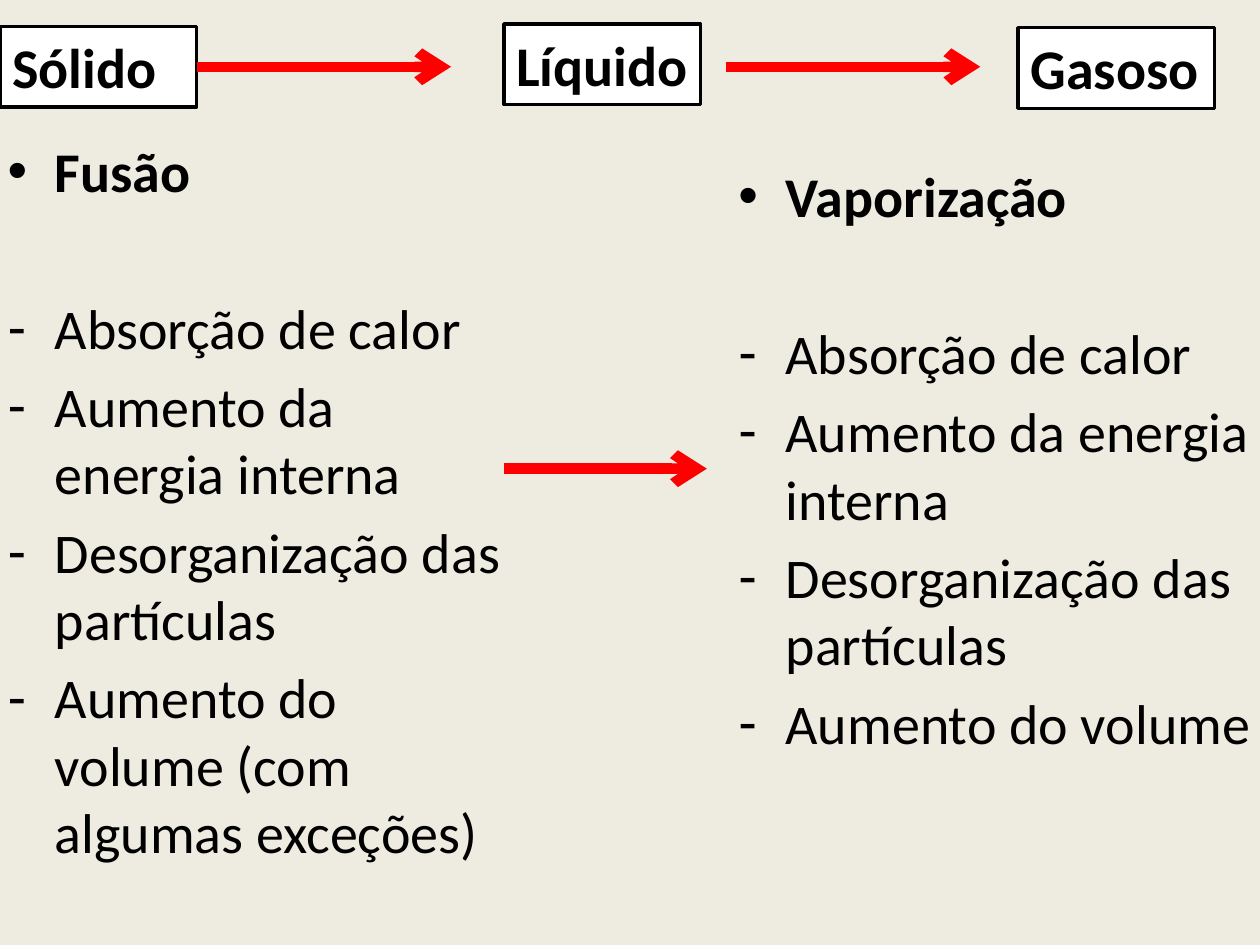
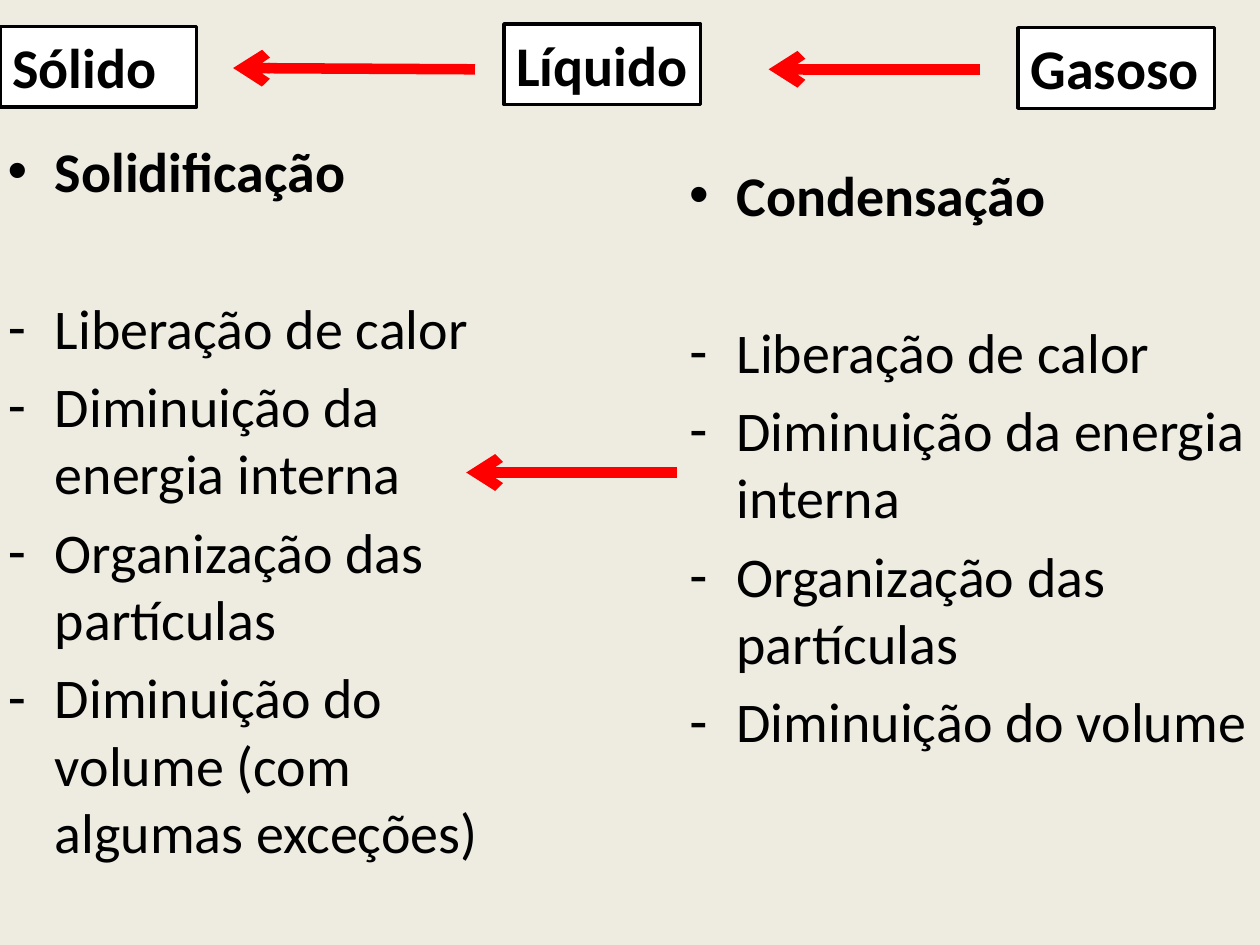
"""Builds two slides on the changes of state between solid, liquid and gas."""
from dataclasses import dataclass
from typing import Optional

from lxml import etree
from pptx import Presentation
from pptx.dml.color import RGBColor
from pptx.enum.shapes import MSO_CONNECTOR, MSO_SHAPE
from pptx.enum.text import MSO_ANCHOR, MSO_AUTO_SIZE, PP_ALIGN
from pptx.oxml.ns import qn
from pptx.util import Pt

RECTANGLE = MSO_SHAPE.RECTANGLE
STRAIGHT = MSO_CONNECTOR.STRAIGHT
LEFT = PP_ALIGN.LEFT
TOP = MSO_ANCHOR.TOP
FIXED, GROW = MSO_AUTO_SIZE.NONE, MSO_AUTO_SIZE.SHAPE_TO_FIT_TEXT
RIGHT_SIDE = 3
TWO_CONTENT_LAYOUT = 3
EMU_PER_PX = 9144


@dataclass(frozen=True)
class Theme:
    background: RGBColor = RGBColor(0xEE, 0xEC, 0xE1)
    box: RGBColor = RGBColor(0xFF, 0xFF, 0xFF)
    ink: RGBColor = RGBColor(0, 0, 0)
    arrow: RGBColor = RGBColor(0xFF, 0, 0)
    font: str = "Calibri"
    size: float = 32
    item_gap: float = 6.4
    heading_gap: float = 45
    box_line: float = 2
    arrow_line: float = 6


@dataclass(frozen=True)
class State:
    name: str
    left: int
    top: int


@dataclass(frozen=True)
class Arrow:
    start: tuple[int, int]
    end: tuple[int, int]
    source: Optional[str] = None


@dataclass(frozen=True)
class Change:
    heading: str
    effects: tuple[str, ...]
    area: tuple[int, int, int, int]


@dataclass(frozen=True)
class Page:
    changes: tuple[Change, Change]
    arrows: tuple[Arrow, ...]


THEME = Theme()
STATE_SIZE = (156, 64)
STATES = (State("Sólido", 0, 21), State("Líquido", 400, 19), State("Gasoso", 808, 22))
LEFT_AREA = (-4, 103, 416, 646)
EXCEPTIONS = " (com algumas exceções)"
HEATING = ("Absorção de calor", "Aumento da energia interna",
           "Desorganização das partículas", "Aumento do volume")
COOLING = ("Liberação de calor", "Diminuição da energia interna",
           "Organização das partículas", "Diminuição do volume")


def with_exceptions(effects: tuple[str, ...]) -> tuple[str, ...]:
    """Return the effects with the exceptions noted on the last one."""
    return (*effects[:-1], effects[-1] + EXCEPTIONS)


PAGES = (
    Page(
        (Change("Fusão", with_exceptions(HEATING), LEFT_AREA),
         Change("Vaporização", HEATING, (576, 123, 464, 614))),
        (Arrow((400, 372), (561, 372)),
         Arrow((156, 53), (358, 53), source="Sólido"),
         Arrow((576, 53), (778, 53))),
    ),
    Page(
        (Change("Solidificação", with_exceptions(COOLING), LEFT_AREA),
         Change("Condensação", COOLING, (537, 122, 464, 614))),
        (Arrow((537, 375), (370, 375)),
         Arrow((377, 55), (185, 54)),
         Arrow((778, 55), (610, 55))),
    ),
)


def px(*lengths: int) -> list[int]:
    """Turn pixel lengths into EMU."""
    return [length * EMU_PER_PX for length in lengths]


def write(paragraph, text: str, *, bold: bool = False, before: float = 0,
          after: float = 0, dash: bool = False) -> None:
    """Write one formatted paragraph."""
    paragraph.alignment = LEFT
    paragraph.space_before, paragraph.space_after = Pt(before), Pt(after)
    run = paragraph.add_run()
    run.text = text
    run.font.name, run.font.size, run.font.bold = THEME.font, Pt(THEME.size), bold
    run.font.color.rgb = THEME.ink
    if dash:
        properties = paragraph._p.get_or_add_pPr()
        etree.SubElement(properties, qn("a:buFontTx"))
        etree.SubElement(properties, qn("a:buChar"), char="-")


def draw_change(placeholder, change: Change) -> None:
    """Fill a body placeholder with a change of state and its effects."""
    (placeholder.left, placeholder.top,
     placeholder.width, placeholder.height) = px(*change.area)
    frame = placeholder.text_frame
    frame.auto_size = FIXED
    write(frame.paragraphs[0], change.heading, bold=True,
          before=THEME.item_gap, after=THEME.heading_gap)
    for effect in change.effects:
        write(frame.add_paragraph(), effect, before=THEME.item_gap, dash=True)


def draw_state(slide, state: State):
    """Draw the framed name of a state and return its box."""
    box = slide.shapes.add_shape(RECTANGLE, *px(state.left, state.top, *STATE_SIZE))
    box.shadow.inherit = False
    box.fill.solid()
    box.fill.fore_color.rgb = THEME.box
    box.line.color.rgb = THEME.ink
    box.line.width = Pt(THEME.box_line)
    frame = box.text_frame
    frame.word_wrap, frame.auto_size, frame.vertical_anchor = True, GROW, TOP
    write(frame.paragraphs[0], state.name, bold=True)
    return box


def draw_arrow(slide, arrow: Arrow, boxes: dict) -> None:
    """Draw an arrow, joined to its source state if it has one."""
    connector = slide.shapes.add_connector(STRAIGHT, *px(*arrow.start, *arrow.end))
    if arrow.source:
        connector.begin_connect(boxes[arrow.source], RIGHT_SIDE)
    connector.line.color.rgb = THEME.arrow
    connector.line.width = Pt(THEME.arrow_line)
    etree.SubElement(connector.line._get_or_add_ln(), qn("a:tailEnd"), type="arrow")
    etree.SubElement(connector._element.spPr, qn("a:effectLst"))


def draw_page(presentation, page: Page) -> None:
    """Add a slide with its lists, states and arrows."""
    slide = presentation.slides.add_slide(presentation.slide_layouts[TWO_CONTENT_LAYOUT])
    title, *bodies = slide.placeholders
    title._element.getparent().remove(title._element)
    for body, change in zip(bodies, page.changes):
        draw_change(body, change)
    boxes = {state.name: draw_state(slide, state) for state in STATES}
    for arrow in page.arrows:
        draw_arrow(slide, arrow, boxes)


def main() -> None:
    """Build and save the presentation."""
    presentation = Presentation()
    presentation.slide_width, presentation.slide_height = px(1000, 750)
    backdrop = presentation.slide_master.background.fill
    backdrop.solid()
    backdrop.fore_color.rgb = THEME.background
    for page in PAGES:
        draw_page(presentation, page)
    presentation.save("out.pptx")


if __name__ == "__main__":
    main()
